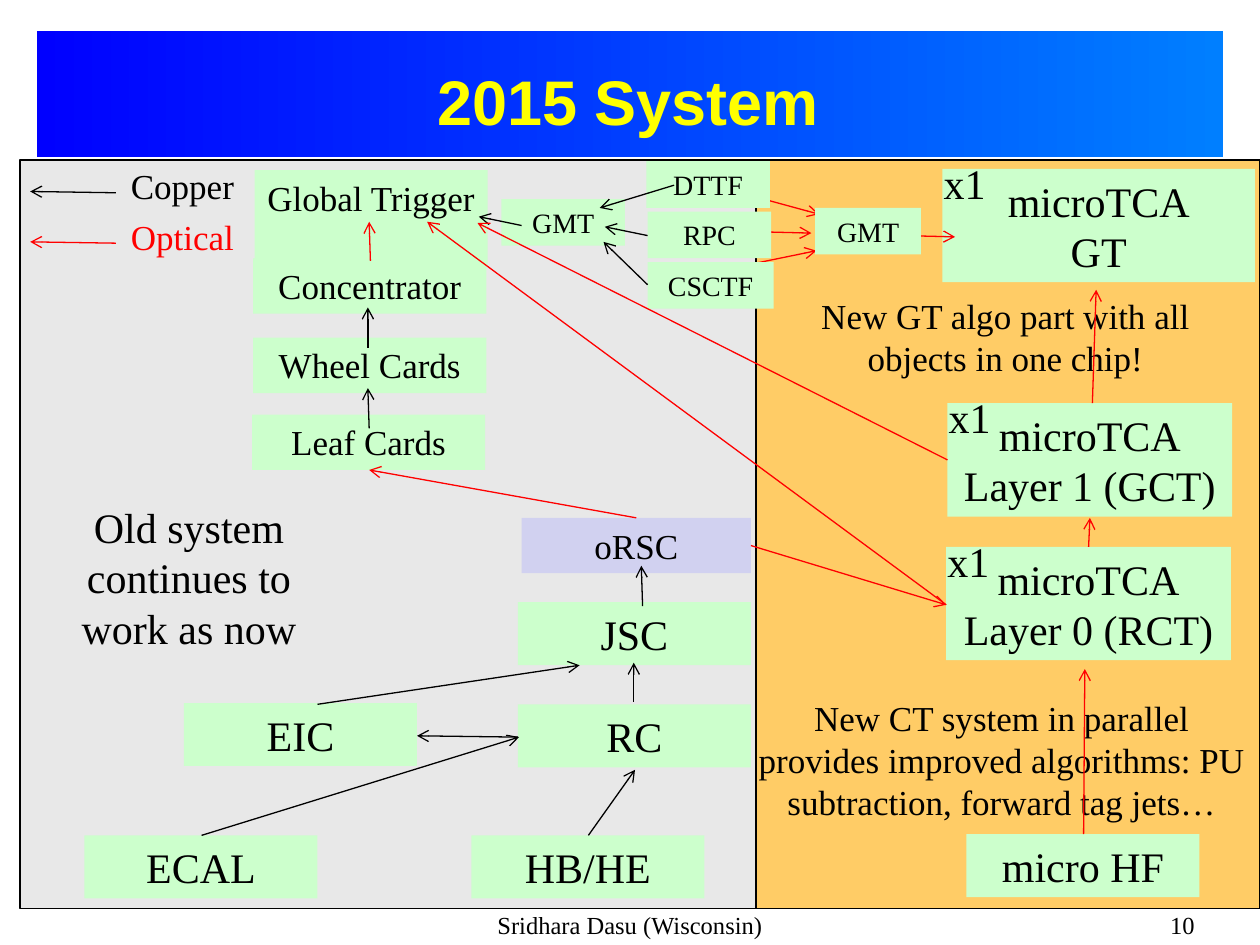
from dataclasses import dataclass

from lxml.etree import SubElement
from pptx import Presentation
from pptx.dml.color import RGBColor
from pptx.enum.shapes import MSO_CONNECTOR as Connector, MSO_SHAPE as Shape
from pptx.enum.text import MSO_ANCHOR as Anchor, PP_ALIGN as Align
from pptx.oxml.ns import qn
from pptx.slide import Slide
from pptx.util import Inches, Pt

BLACK, RED, GREEN, LAVENDER = "000000", "FF0000", "CCFFCC", "D1D1F0"
GREY, ORANGE, YELLOW = "E8E8E8", "FFCC66", "FFFF00"


def rgb(value):
    """Turn a hex string into a colour."""
    return RGBColor.from_string(value)


def write(shape, text, size, align=Align.CENTER, color=BLACK, wrap=True,
          font="Times New Roman", bold=False, anchor=Anchor.TOP):
    """Put formatted text into a shape."""
    frame = shape.text_frame
    frame.text = text
    frame.word_wrap = wrap
    frame.vertical_anchor = anchor
    for paragraph in frame.paragraphs:
        paragraph.alignment = align
        paragraph.font.name = font
        paragraph.font.size = Pt(size)
        paragraph.font.bold = bold
        paragraph.font.color.rgb = rgb(color)


@dataclass
class Region:
    """A box on the slide whose parts are placed from its top left corner."""
    slide: Slide
    left: float
    top: float
    width: float
    height: float

    def place(self, x, y):
        """Give the slide position of a point in the region."""
        return Inches(self.left + x), Inches(self.top + y)

    def rectangle(self, x, y, width, height, fill=None):
        """Draw a rectangle without an outline."""
        shape = self.slide.shapes.add_shape(
            Shape.RECTANGLE, *self.place(x, y), Inches(width), Inches(height))
        shape.shadow.inherit = False
        shape.line.fill.background()
        if fill:
            shape.fill.solid()
            shape.fill.fore_color.rgb = rgb(fill)
        return shape

    def panel(self, fill):
        """Fill the whole region with an outlined background."""
        shape = self.rectangle(0, 0, self.width, self.height, fill)
        shape.line.color.rgb = rgb(BLACK)
        shape.line.width = Pt(0.75)

    def unit(self, text, x, y, width=1.85, height=0.5, size=24, fill=GREEN):
        """Draw a labelled hardware unit."""
        write(self.rectangle(x, y, width, height, fill), text, size, wrap=False)

    def label(self, text, x, y, width, height, size, **style):
        """Add free text."""
        box = self.slide.shapes.add_textbox(
            *self.place(x, y), Inches(width), Inches(height))
        write(box, text, size, **style)

    def arrows(self, color, *routes):
        """Draw an arrow along each route of x, y to x, y."""
        for x1, y1, x2, y2 in routes:
            line = self.slide.shapes.add_connector(
                Connector.STRAIGHT, *self.place(x1, y1), *self.place(x2, y2))
            line.line.color.rgb = rgb(color)
            line.line.width = Pt(0.75)
            SubElement(line.line._get_or_add_ln(), qn("a:tailEnd"), type="arrow")
            SubElement(line.element.spPr, qn("a:effectLst"))


def draw_banner(region):
    """Draw the gradient banner behind the slide title."""
    banner = region.rectangle(0, 0, region.width, region.height)
    banner.fill.gradient()
    banner.fill.gradient_angle = 0
    for stop, color in zip(banner.fill.gradient_stops, ("0000FF", "007FFF")):
        stop.color.rgb = rgb(color)
    title = region.slide.shapes.title
    title.left, title.top = region.place(1, 0.17)
    title.width, title.height = Inches(7.39), Inches(0.75)
    write(title, "2015 System", 36, color=YELLOW, font="Arial", bold=True,
          anchor=Anchor.MIDDLE)
    title.element.addprevious(banner.element)


def draw_old_system(region):
    """Draw the existing trigger chain."""
    region.panel(GREY)
    for text, x, y in (("ECAL", 0.51, 5.36), ("HB/HE", 3.58, 5.36),
                       ("EIC", 1.3, 4.31), ("JSC", 3.95, 3.51), ("RC", 3.95, 4.32)):
        region.unit(text, x, y)
    for text, x, y, height in (("Leaf Cards", 1.84, 2.02, 0.44),
                               ("Wheel Cards", 1.85, 1.41, 0.44),
                               ("Concentrator", 1.85, 0.78, 0.44),
                               ("Global Trigger", 1.86, 0.08, 0.77)):
        region.unit(text, x, y, height=height, size=20)
    region.unit("oRSC", 3.98, 2.84, 1.82, 0.44, 20, LAVENDER)
    region.label("Old system continues to work as now", 0.06, 2.66, 2.56, 1.3, 24)
    region.arrows(BLACK, (1.44, 5.36, 3.96, 4.58), (4.51, 5.36, 4.88, 4.84),
                  (2.77, 2.13, 2.76, 1.81), (2.76, 1.49, 2.76, 1.17),
                  (3.95, 4.58, 3.15, 4.57), (2.36, 4.32, 4.44, 4.01),
                  (4.87, 4.3, 4.87, 3.99), (4.94, 3.54, 4.93, 3.22))
    region.arrows(RED, (4.89, 2.84, 2.77, 2.46), (2.78, 0.8, 2.77, 0.49))


def draw_new_system(region):
    """Draw the parallel microTCA chain."""
    region.panel(ORANGE)
    for text, x, y, width in (("GT", 1.48, 0.07, 2.48),
                              ("Layer 1 (GCT)", 1.52, 1.93, 2.26),
                              ("Layer 0 (RCT)", 1.51, 3.07, 2.26)):
        region.unit(f"microTCA\n{text}", x, y, width, 0.9)
        region.label("x1", x - 0.09, y - 0.14, 0.6, 0.5, 24, align=Align.LEFT)
    region.unit("micro HF", 1.67, 5.35)
    region.label("New CT system in parallel provides improved algorithms: "
                 "PU subtraction, forward tag jets…", -0.09, 4.21, 4.08, 1.1, 20)
    region.label("New GT algo part with all objects in one chip!",
                 0.05, 1.02, 3.86, 0.77, 20)
    region.arrows(RED, (2.64, 3.07, 2.65, 2.84), (2.6, 5.35, 2.61, 4.04),
                  (2.67, 1.93, 2.7, 1.03))


def draw_muon_trigger(region):
    """Draw the muon track finders feeding the old and new GMT."""
    region.arrows(RED, (1.67, 0.88, 2.5, 0.71), (1.64, 0.18, 2.52, 0.42),
                  (1.65, 0.55, 2.46, 0.57), (2.78, 0.58, 3.6, 0.6))
    for text, x, y, width in (("GMT", 0, 0.3, 0.98), ("DTTF", 1.15, 0, 0.98),
                              ("RPC", 1.16, 0.4, 0.98), ("CSCTF", 1.16, 0.8, 1),
                              ("GMT", 2.49, 0.37, 0.84)):
        region.unit(text, x, y, width, 0.37, 16)
    region.arrows(BLACK, (1.37, 0.19, 0.78, 0.37), (1.16, 0.59, 0.82, 0.52),
                  (1.16, 0.98, 0.81, 0.64), (0.16, 0.51, -0.18, 0.44))


def draw_cross_links(region):
    """Draw the optical links between the old and new systems."""
    region.arrows(RED, (7.52, 3.65, 3.79, 1.77), (5.96, 4.33, 7.51, 4.8),
                  (7.51, 4.8, 3.39, 1.76))


def draw_legend(region):
    """Explain the arrow colours."""
    for row, (text, color) in enumerate((("Copper", BLACK), ("Optical", RED))):
        y = row * region.height / 2
        region.arrows(color, (0.68, y + 0.27, 0, y + 0.26))
        region.label(text, 0.7, y, 1.1, 0.44, 20, align=Align.LEFT, color=color)


def draw_footer(region):
    """Add the author and the page number."""
    region.label("Sridhara Dasu (Wisconsin)", 0, 0, 4.58, region.height, 14)
    region.label("10", 4.79, 0, 2.08, region.height, 14, align=Align.RIGHT)


def main():
    """Build and save the slide."""
    presentation = Presentation()
    presentation.slide_width, presentation.slide_height = Inches(10), Inches(7.5)
    slide = presentation.slides.add_slide(presentation.slide_layouts[5])
    draw_banner(Region(slide, 0.29, 0.25, 9.42, 1))
    draw_new_system(Region(slide, 6, 1.27, 4, 5.94))
    draw_old_system(Region(slide, 0.16, 1.27, 5.84, 5.94))
    draw_muon_trigger(Region(slide, 3.98, 1.28, 3.6, 1.17))
    draw_cross_links(Region(slide, 0, 0, 10, 7.5))
    draw_legend(Region(slide, 0.24, 1.26, 1.8, 0.8))
    draw_footer(Region(slide, 2.71, 7.17, 6.87, 0.33))
    presentation.save("out.pptx")


if __name__ == "__main__":
    main()
